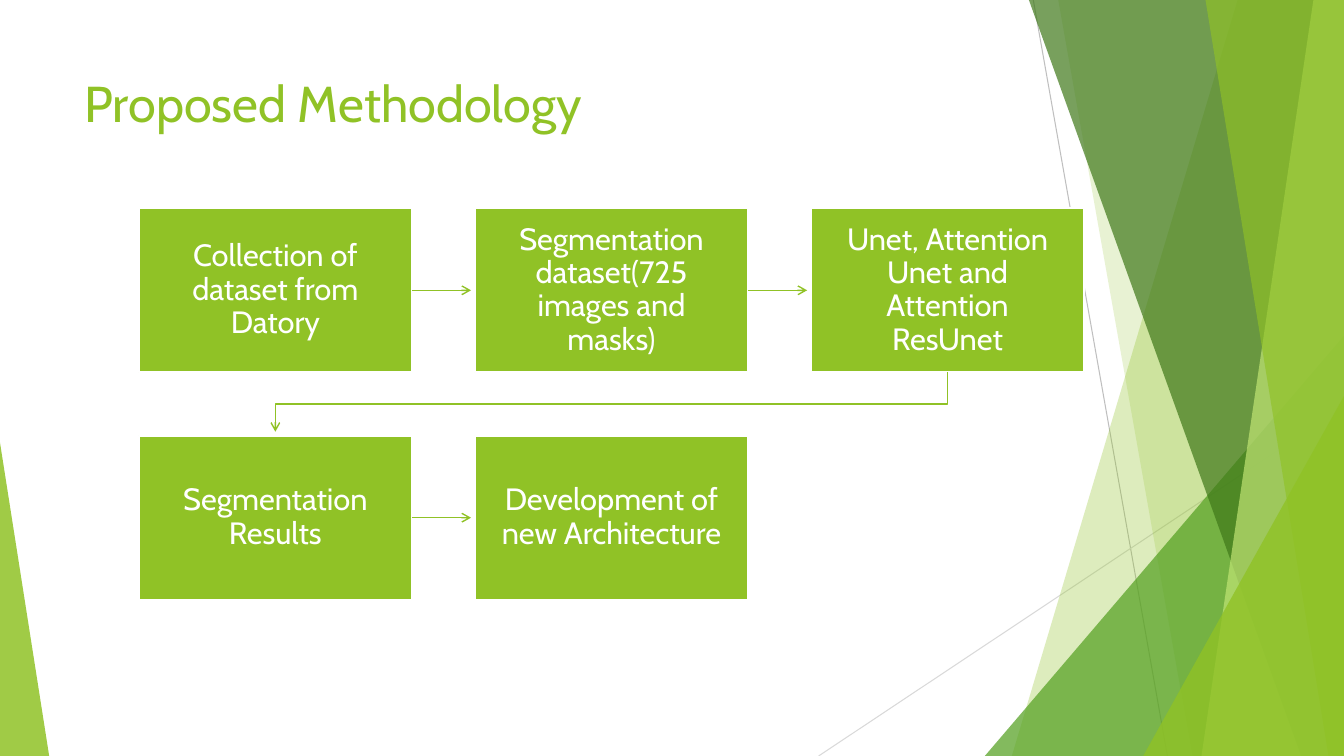
import pptx
import pptx.util
import pptx.dml.color
import pptx.enum.shapes
import pptx.enum.text
import pptx.oxml
import pptx.oxml.ns

Cm, Pt = pptx.util.Cm, pptx.util.Pt
KINDS = pptx.enum.shapes.MSO_SHAPE
FONT = "Cabin"
COLORS = {
    "lime": "90C226", "leaf": "54A021", "moss": "3F7819", "pale": "C0E474",
    "white": "FFFFFF", "gray": "BFBFBF", "mist": "D9D9D9",
}
WIDE, HIGH = 33.87, 19.05

# Flow grid, in centimetres
LEFT, TOP = 3.5, 5.25
BOX_W, BOX_H = 6.88, 4.13
STEP_X, STEP_Y = 8.47, 5.73
NEAR = 0.1  # space between an arrowhead and the next box
COLS = 3
STEPS = [
    "Collection of dataset from Datory",
    "Segmentation dataset(725 images and masks)",
    "Unet, Attention Unet and Attention ResUnet",
    "Segmentation Results",
    "Development of new Architecture",
]


def rgb(name):
    return pptx.dml.color.RGBColor.from_string(COLORS[name])


def node(tag, **attrs):
    item = pptx.oxml.parse_xml(f"<a:{tag} {pptx.oxml.ns.nsdecls('a')}/>")
    for key, value in attrs.items():
        item.set(key, value)
    return item


def paint(shape, color, alpha=100):
    shape.shadow.inherit = False
    shape.fill.solid()
    shape.fill.fore_color.rgb = rgb(color)
    shape.line.fill.background()
    if alpha < 100:
        tone = shape.fill._xPr.find(".//" + pptx.oxml.ns.qn("a:srgbClr"))
        tone.append(node("alpha", val=str(alpha * 1000)))


def write(frame, text, size, color):
    frame.word_wrap = True
    para = frame.paragraphs[0]
    run = para.add_run()
    run.text = text
    run.font.size = Pt(size)
    run.font.name = FONT
    run.font.color.rgb = rgb(color)
    return para


def stroke(item, color, width, arrow=False):
    item.line.color.rgb = rgb(color)
    item.line.width = Pt(width)
    if arrow:
        item.line._get_or_add_ln().append(node("tailEnd", type="arrow"))


def line(slide, start, end, color, width, arrow=False):
    kind = pptx.enum.shapes.MSO_CONNECTOR.STRAIGHT
    item = slide.shapes.add_connector(kind, *map(Cm, start + end))
    stroke(item, color, width, arrow)
    item._element.spPr.append(node("effectLst"))
    return item


def outline(slide, points, close):
    spots = [(Cm(x), Cm(y)) for x, y in points]
    form = slide.shapes.build_freeform(*spots[0], scale=1.0)
    form.add_line_segments(spots[1:], close=close)
    return form.convert_to_shape()


def facet(slide, top, base, color, alpha):
    """Fill from a slanted edge to the right side of the slide."""
    points = [(top, 0), (WIDE, 0), (WIDE, HIGH), (base, HIGH)]
    paint(outline(slide, points, True), color, alpha)


def wedge(slide, left, top, width, peak, color, alpha):
    """Triangle that stands on the bottom of the slide."""
    shape = slide.shapes.add_shape(
        KINDS.ISOSCELES_TRIANGLE, Cm(left), Cm(top), Cm(width), Cm(HIGH - top))
    shape.adjustments[0] = peak
    paint(shape, color, alpha)


def decor(slide):
    line(slide, (26.04, 0), (29.42, HIGH), "gray", 0.75)
    line(slide, (WIDE, 10.24), (20.63, HIGH), "mist", 0.75)
    facet(slide, 31.19, 25.5, "lime", 30)
    facet(slide, 26.67, 30.05, "lime", 20)
    wedge(slide, 24.82, 8.46, 9.05, 1, "leaf", 72)
    facet(slide, 25.93, 32.79, "moss", 70)
    facet(slide, 33.1, 30.28, "pale", 70)
    facet(slide, 30.38, 33.48, "lime", 65)
    wedge(slide, 28.81, 9.98, 5.06, 1, "lime", 80)
    wedge(slide, 0, 11.15, 1.24, 0, "lime", 85)


def title(slide, text):
    box = slide.shapes.add_textbox(Cm(1.88), Cm(1.7), Cm(23.88), Cm(3.66))
    write(box.text_frame, text, 36, "lime")


def corner(index):
    row, col = divmod(index, COLS)
    return LEFT + col * STEP_X, TOP + row * STEP_Y


def card(slide, index, text):
    x, y = corner(index)
    shape = slide.shapes.add_shape(
        KINDS.RECTANGLE, Cm(x), Cm(y), Cm(BOX_W), Cm(BOX_H))
    paint(shape, "lime")
    stroke(shape, "white", 1.5)
    frame = shape.text_frame
    frame.margin_left = frame.margin_right = Cm(0.43)
    frame.margin_top = frame.margin_bottom = Cm(0.43)
    frame.vertical_anchor = pptx.enum.text.MSO_ANCHOR.MIDDLE
    para = write(frame, text, 22, "white")
    para.alignment = pptx.enum.text.PP_ALIGN.CENTER
    para.line_spacing = 0.9
    return shape


def across(slide, index, box):
    """Arrow from a box to its neighbour on the right."""
    x, y = corner(index)
    mid = y + BOX_H / 2
    item = line(slide, (x + BOX_W, mid), (x + STEP_X - NEAR, mid),
                "lime", 1, True)
    item.begin_connect(box, 3)


def wrap(slide, index):
    """Bent arrow from the end of a row to the start of the next."""
    x, y = corner(index)
    x, y = x + BOX_W / 2, y + BOX_H
    goal = LEFT + BOX_W / 2
    gap = STEP_Y - BOX_H
    bend = y + gap / 2
    shape = outline(slide, [(x, y), (x, bend), (goal, bend),
                            (goal, y + gap - NEAR)], False)
    shape.shadow.inherit = False
    shape.fill.background()
    stroke(shape, "lime", 1, True)


def flow(slide):
    boxes = [card(slide, i, text) for i, text in enumerate(STEPS)]
    for i, box in enumerate(boxes[:-1]):
        if i % COLS == COLS - 1:
            wrap(slide, i)
        else:
            across(slide, i, box)


def main():
    deck = pptx.Presentation()
    deck.slide_width, deck.slide_height = Cm(WIDE), Cm(HIGH)
    slide = deck.slides.add_slide(deck.slide_layouts[6])
    decor(slide)
    title(slide, "Proposed Methodology")
    flow(slide)
    deck.save("out.pptx")


if __name__ == "__main__":
    main()
